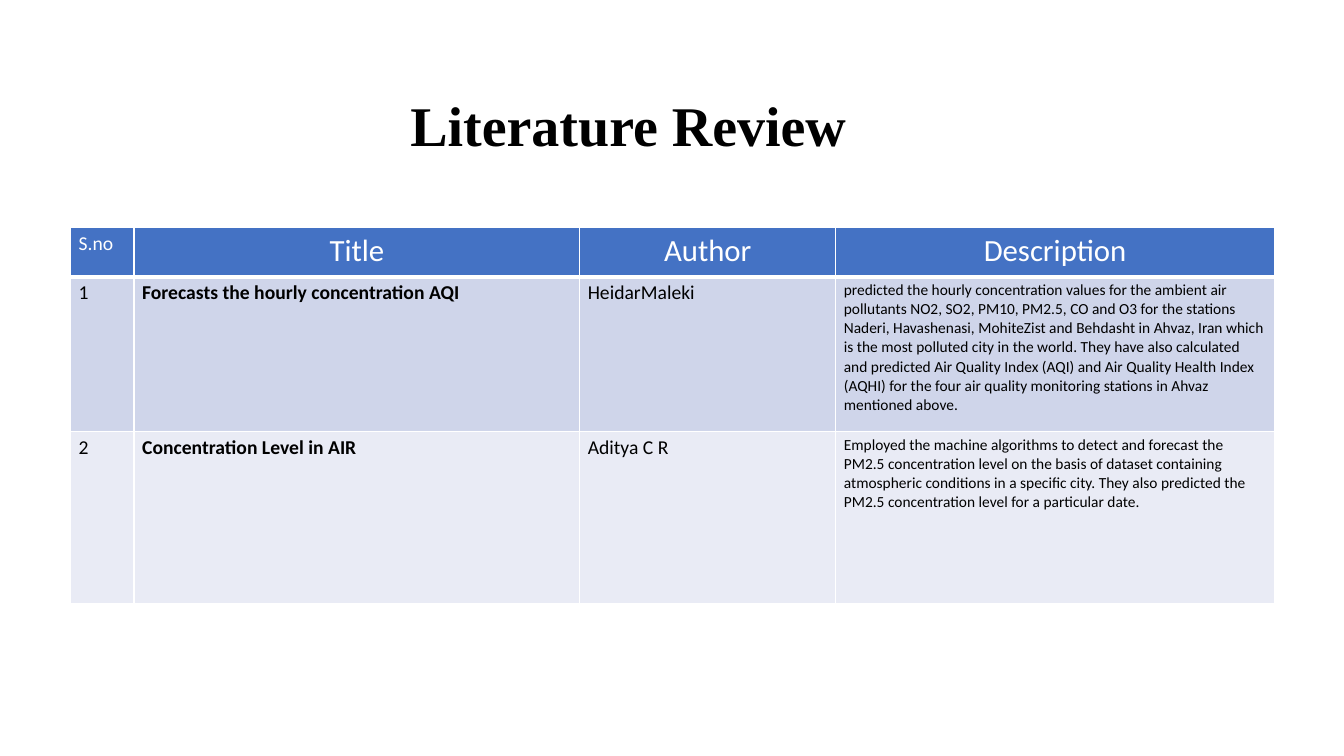
from lxml.etree import SubElement
from pptx import Presentation
from pptx.dml.color import RGBColor
from pptx.enum.text import MSO_ANCHOR, MSO_AUTO_SIZE, PP_ALIGN
from pptx.oxml.ns import qn
from pptx.util import Inches, Pt

WHITE = RGBColor(0xFF, 0xFF, 0xFF)
BLACK = RGBColor(0x00, 0x00, 0x00)
HEADER_BLUE = RGBColor(0x44, 0x72, 0xC4)
BANDS = [RGBColor(0xCF, 0xD5, 0xEA), RGBColor(0xE9, 0xEB, 0xF5)]

COLUMN_WIDTHS = [0.63, 4.42, 2.54, 4.35]
ROW_HEIGHTS = [0.49, 1.53, 1.71]
HEADINGS = ["S.no", "Title", "Author", "Description"]
STUDIES = [
    ["1", "Forecasts the hourly concentration AQI", "HeidarMaleki",
     "predicted the hourly concentration values for the ambient air pollutants "
     "NO2, SO2, PM10, PM2.5, CO and O3 for the stations Naderi, Havashenasi, "
     "MohiteZist and Behdasht in Ahvaz, Iran which is the most polluted city in "
     "the world. They have also calculated and predicted Air Quality Index (AQI) "
     "and Air Quality Health Index (AQHI) for the four air quality monitoring "
     "stations in Ahvaz mentioned above."],
    ["2", "Concentration Level in AIR", "Aditya C R",
     "Employed the machine algorithms to detect and forecast the PM2.5 "
     "concentration level on the basis of dataset containing atmospheric "
     "conditions in a specific city. They also predicted the PM2.5 concentration "
     "level for a particular date."],
]
HEADING_FORMATS = [dict(size=14)] + [dict(size=22, align=PP_ALIGN.CENTER)] * 3
STUDY_FORMATS = [dict(size=14), dict(size=14, bold=True), dict(size=14), dict(size=11)]


def write(frame, text, size, color=BLACK, font="Calibri", bold=False, align=PP_ALIGN.LEFT):
    """Put one formatted paragraph into a text frame."""
    paragraph = frame.paragraphs[0]
    paragraph.alignment = align
    run = paragraph.add_run()
    run.text = text
    run.font.size = Pt(size)
    run.font.name = font
    run.font.bold = bold
    run.font.color.rgb = color


def add_borders(cell, bottom=1):
    """Draw white lines around a cell, with the given bottom width in points."""
    properties = cell._tc.get_or_add_tcPr()
    for index, (side, width) in enumerate(zip("LRTB", (1, 1, 1, bottom))):
        line = SubElement(properties, qn(f"a:ln{side}"), w=str(Pt(width)))
        fill = SubElement(line, qn("a:solidFill"))
        SubElement(fill, qn("a:srgbClr"), val=str(WHITE))
        properties.insert(index, line)


def fill_row(row, texts, formats, background, color, bottom=1):
    """Write and colour the cells of one table row."""
    for cell, text, text_format in zip(row.cells, texts, formats):
        cell.fill.solid()
        cell.fill.fore_color.rgb = background
        cell.margin_left = cell.margin_right = Inches(0.08)
        cell.margin_top = cell.margin_bottom = Inches(0.04)
        add_borders(cell, bottom)
        write(cell.text_frame, text, color=color, **text_format)


def place_heading(slide, left, top, width, height):
    """Move the title placeholder into the box and write the heading."""
    heading = slide.shapes.title
    heading.left, heading.top = Inches(left), Inches(top)
    heading.width, heading.height = Inches(width), Inches(height)
    frame = heading.text_frame
    frame.word_wrap = True
    frame.auto_size = MSO_AUTO_SIZE.SHAPE_TO_FIT_TEXT
    frame.vertical_anchor = MSO_ANCHOR.TOP
    write(frame, "Literature Review", size=40, font="Times New Roman", bold=True)


def place_studies(slide, left, top):
    """Add the table of reviewed studies at the given corner."""
    studies = slide.shapes.add_table(
        len(ROW_HEIGHTS), len(COLUMN_WIDTHS), Inches(left), Inches(top),
        Inches(sum(COLUMN_WIDTHS)), Inches(sum(ROW_HEIGHTS))).table
    for column, width in zip(studies.columns, COLUMN_WIDTHS):
        column.width = Inches(width)
    for row, height in zip(studies.rows, ROW_HEIGHTS):
        row.height = Inches(height)
    fill_row(studies.rows[0], HEADINGS, HEADING_FORMATS, HEADER_BLUE, WHITE, bottom=3)
    for number, (study, band) in enumerate(zip(STUDIES, BANDS), start=1):
        fill_row(studies.rows[number], study, STUDY_FORMATS, band, BLACK)


def main():
    """Build the literature review slide and save it."""
    presentation = Presentation()
    presentation.slide_width = Inches(13.33)
    presentation.slide_height = Inches(7.5)
    slide = presentation.slides.add_slide(presentation.slide_layouts[5])
    place_studies(slide, 0.7, 2.26)
    place_heading(slide, 3.97, 0.85, 6.67, 0.77)
    presentation.save("out.pptx")


if __name__ == "__main__":
    main()
